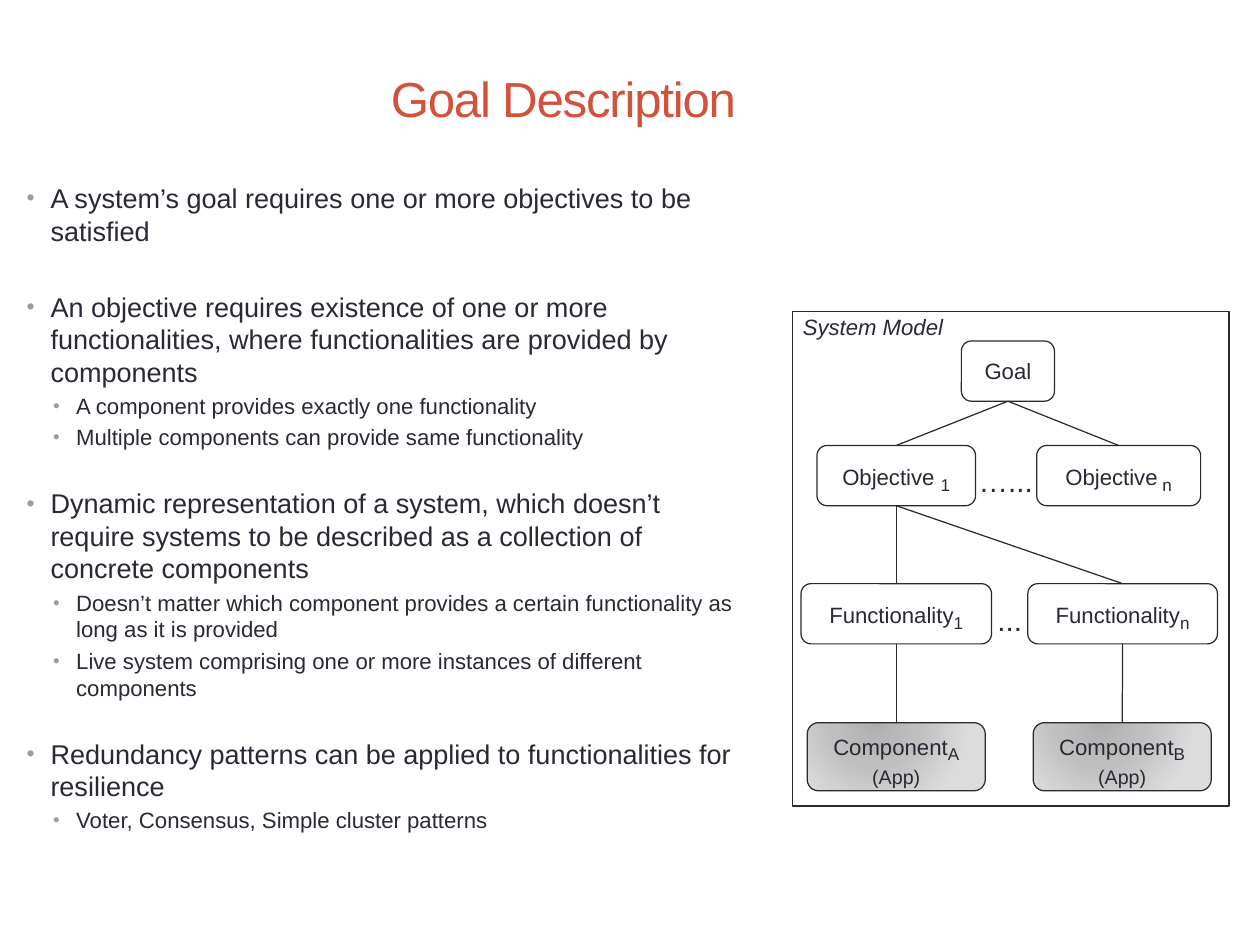
"""Build the Goal Description slide with its system model tree."""
from pptx import Presentation
from pptx.dml.color import RGBColor
from pptx.enum.shapes import MSO_CONNECTOR, MSO_SHAPE
from pptx.enum.text import MSO_ANCHOR, MSO_AUTO_SIZE, PP_ALIGN
from pptx.oxml import parse_xml
from pptx.oxml.ns import nsdecls, qn
from pptx.oxml.xmlchemy import OxmlElement
from pptx.util import Pt

PX = 9144
SLIDE_SIZE = (1422, 1067)
FONT = "Arial"
INK = RGBColor(0x29, 0x29, 0x34)
ACCENT = RGBColor(0xD2, 0x53, 0x3C)
BULLET = RGBColor(0x93, 0xA2, 0x99)
WHITE = RGBColor(0xFF, 0xFF, 0xFF)
SHADES = [(0, RGBColor(0xAF, 0xAF, 0xB0)), (45, RGBColor(0xBF, 0xBF, 0xC0)),
          (100, RGBColor(0xDC, 0xDC, 0xDD))]
LEFT, CENTER = PP_ALIGN.LEFT, PP_ALIGN.CENTER
TOP, MIDDLE = MSO_ANCHOR.TOP, MSO_ANCHOR.MIDDLE
NO_FIT = MSO_AUTO_SIZE.NONE
RECT, ROUNDED = MSO_SHAPE.RECTANGLE, MSO_SHAPE.ROUNDED_RECTANGLE
STRAIGHT = MSO_CONNECTOR.STRAIGHT
TOP_SITE, BOTTOM_SITE = 0, 2

TITLE = "Goal Description"
TITLE_BOX = (434, 21, 944, 178)
BODY_BOX = (23, 198, 824, 858)
# level, space before, text
POINTS = [
    (0, 0, "A system’s goal requires one or more objectives to be satisfied"),
    (0, 35.4, "An objective requires existence of one or more functionalities, "
              "where functionalities are provided by components"),
    (1, 4, "A component provides exactly one functionality"),
    (1, 4, "Multiple components can provide same functionality"),
    (0, 29.7, "Dynamic representation of a system, which doesn’t require systems "
              "to be described as a collection of concrete components"),
    (1, 4, "Doesn’t matter which component provides a certain functionality "
           "as long as it is provided"),
    (1, 4, "Live system comprising one or more instances of different components"),
    (0, 29.7, "Redundancy patterns can be applied to functionalities for resilience"),
    (1, 4, "Voter, Consensus, Simple cluster patterns"),
]
LEVELS = [(22, 27, 27), (18, 56, 26)]

FRAME = (894, 352, 493, 558)
ROWS = {"goal": (385, 68), "objective": (503, 68),
        "functionality": (659, 68), "component": (816, 77)}
NODES = {
    "goal": ("goal", 1085, 105, "Goal", ""),
    "objective 1": ("objective", 922, 179, "Objective ", "1"),
    "objective n": ("objective", 1170, 185, "Objective", " n"),
    "functionality 1": ("functionality", 904, 215, "Functionality", "1"),
    "functionality n": ("functionality", 1160, 214, "Functionality", "n"),
    "component A": ("component", 911, 201, "Component", "A"),
    "component B": ("component", 1166, 201, "Component", "B"),
}
LINKS = [("goal", "objective 1"), ("goal", "objective n"),
         ("objective 1", "functionality 1"), ("objective 1", "functionality n"),
         ("functionality 1", "component A"), ("functionality n", "component B")]
LABELS = [("System Model", (899, 347, 220, 43), 18, True, LEFT),
          ("…...", (1083, 516, 104, 52), 24, False, CENTER),
          ("...", (1097, 673, 85, 52), 24, False, CENTER)]


def emu(box):
    return [length * PX for length in box]


def place(shape, box):
    shape.left, shape.top, shape.width, shape.height = emu(box)


def set_frame(frame, anchor, inset):
    frame.word_wrap = True
    frame.auto_size = NO_FIT
    frame.vertical_anchor = anchor
    frame.margin_left = frame.margin_right = inset * PX
    frame.margin_top = frame.margin_bottom = inset * PX


def style(run, size, color=INK, italic=False):
    run.font.name = FONT
    run.font.size = Pt(size)
    run.font.color.rgb = color
    run.font.italic = italic


def add_run(paragraph, text, size):
    run = paragraph.add_run()
    run.text = text
    style(run, size)
    return run


def add_bullet(paragraph, margin, hanging):
    props = paragraph._p.get_or_add_pPr()
    props.set("marL", str(margin * PX))
    props.set("indent", str(-hanging * PX))
    color = OxmlElement("a:buClr")
    color.append(OxmlElement("a:srgbClr"))
    color[0].set("val", str(BULLET))
    props.append(color)
    for tag, key, value in (("a:buSzPct", "val", "85000"),
                            ("a:buFont", "typeface", FONT),
                            ("a:buChar", "char", "•")):
        part = OxmlElement(tag)
        part.set(key, value)
        props.append(part)


def add_box(slide, kind, box):
    shape = slide.shapes.add_shape(kind, *emu(box))
    shape.shadow.inherit = False
    shape.fill.solid()
    shape.fill.fore_color.rgb = WHITE
    shape.line.color.rgb = INK
    shape.line.width = Pt(1)
    return shape


def shade(shape):
    stops = "".join(f'<a:gs pos="{pos * 1000}"><a:srgbClr val="{color}"/></a:gs>'
                    for pos, color in SHADES)
    gradient = parse_xml(
        f'<a:gradFill {nsdecls("a")} rotWithShape="1"><a:gsLst>{stops}</a:gsLst>'
        '<a:path path="circle"><a:fillToRect l="38000" t="-20000" r="62000" '
        'b="120000"/></a:path></a:gradFill>')
    props = shape._element.spPr
    props.replace(props.find(qn("a:solidFill")), gradient)


def add_node(slide, row, left, width, name, index):
    top, height = ROWS[row]
    node = add_box(slide, ROUNDED, (left, top, width, height))
    set_frame(node.text_frame, MIDDLE, 0)
    label = node.text_frame.paragraphs[0]
    label.alignment = CENTER
    add_run(label, name, 18)
    if index:
        subscript = add_run(label, index, 24)
        subscript._r.get_or_add_rPr().set("baseline", "-20000")
    if row == "component":
        shade(node)
        app = node.text_frame.add_paragraph()
        app.alignment = CENTER
        add_run(app, "(App)", 16)
    return node


def add_link(slide, parent, child):
    link = slide.shapes.add_connector(STRAIGHT, 0, 0, 0, 0)
    link.begin_connect(parent, BOTTOM_SITE)
    link.end_connect(child, TOP_SITE)
    link.line.color.rgb = INK
    link.line.width = Pt(1)
    link._element.spPr.append(OxmlElement("a:effectLst"))


def main():
    deck = Presentation()
    deck.slide_width, deck.slide_height = emu(SLIDE_SIZE)
    slide = deck.slides.add_slide(deck.slide_layouts[1])
    title, body = slide.placeholders

    place(title, TITLE_BOX)
    title.text_frame.text = TITLE
    set_frame(title.text_frame, MIDDLE, 7)
    heading = title.text_frame.paragraphs[0]
    heading.alignment = LEFT
    style(heading.runs[0], 40, ACCENT)
    heading.runs[0]._r.get_or_add_rPr().set("spc", "-100")

    place(body, BODY_BOX)
    body.text_frame.text = "\n".join(text for _, _, text in POINTS)
    set_frame(body.text_frame, TOP, 7)
    for point, (level, before, _) in zip(body.text_frame.paragraphs, POINTS):
        size, margin, hanging = LEVELS[level]
        point.level = level
        point.line_spacing = 1.0
        point.space_before = Pt(before)
        add_bullet(point, margin, hanging)
        style(point.runs[0], size)

    add_box(slide, RECT, FRAME)
    nodes = {key: add_node(slide, *node) for key, node in NODES.items()}
    for parent, child in LINKS:
        add_link(slide, nodes[parent], nodes[child])
    for text, box, size, italic, alignment in LABELS:
        label = slide.shapes.add_textbox(*emu(box)).text_frame
        label.text = text
        set_frame(label, TOP, 7)
        label.paragraphs[0].alignment = alignment
        style(label.paragraphs[0].runs[0], size, italic=italic)
    deck.save("out.pptx")


if __name__ == "__main__":
    main()
